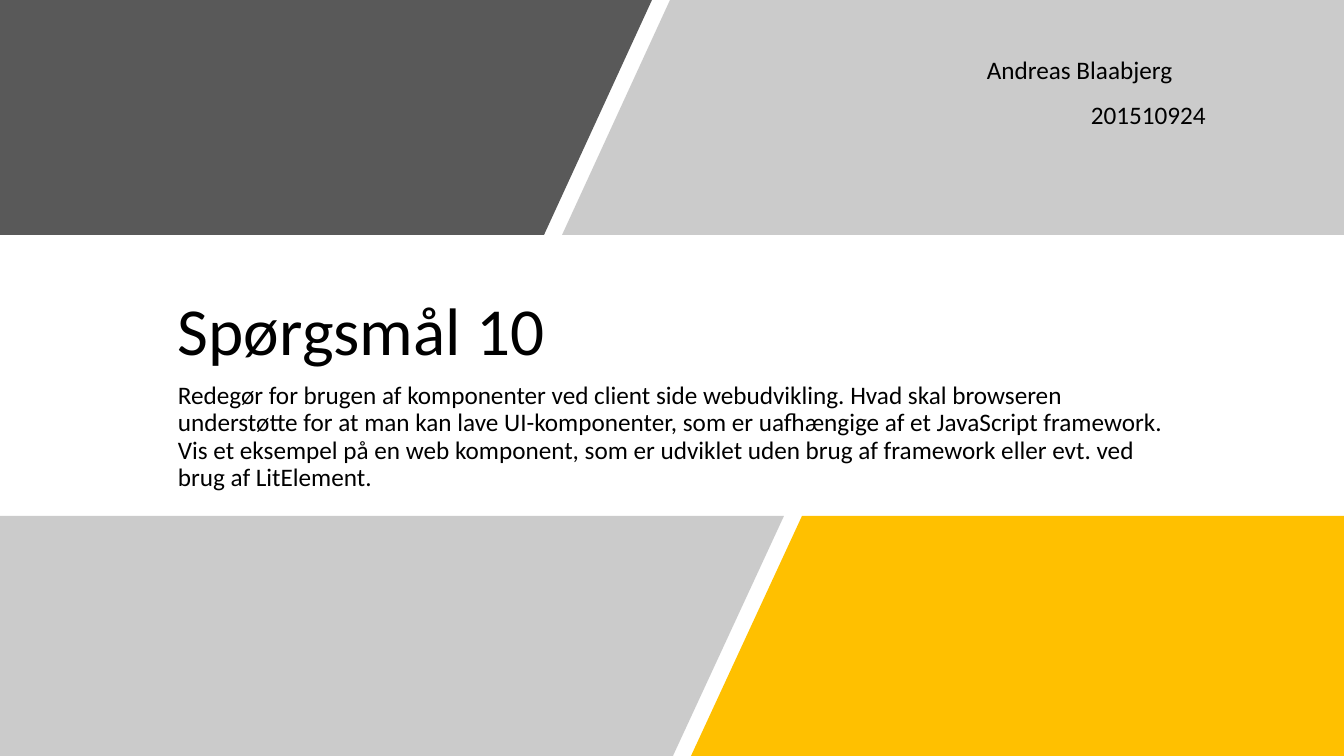
"""Builds the title slide for question 10 on web components."""
from lxml import etree
from pptx import Presentation
from pptx.dml.color import RGBColor
from pptx.enum.text import MSO_ANCHOR, MSO_AUTO_SIZE
from pptx.oxml.ns import qn
from pptx.util import Pt

TOP, BOTTOM = MSO_ANCHOR.TOP, MSO_ANCHOR.BOTTOM
FIT_SHAPE, NO_FIT = MSO_AUTO_SIZE.SHAPE_TO_FIT_TEXT, MSO_AUTO_SIZE.NONE
EMU_PER_PX = 914400 / 100.8
WIDTH, HEIGHT = 1344, 756
UPPER_EDGE, LOWER_EDGE = 235, 516
FONT = "Calibri"
COLORS = {
    "dark": "595959",
    "gray": "7F7F7F",
    "white": "FFFFFF",
    "gold": "FFC000",
    "text": "000000",
}


def px(value):
    return round(value * EMU_PER_PX)


def add_panel(slide, points, color, opacity):
    builder = slide.shapes.build_freeform(*points[0], scale=EMU_PER_PX)
    builder.add_line_segments(points[1:], close=True)
    shape = builder.convert_to_shape()
    shape.shadow.inherit = False
    shape.line.fill.background()
    shape.fill.solid()
    shape.fill.fore_color.rgb = RGBColor.from_string(COLORS[color])
    if opacity < 100:
        color_element = shape.fill._xPr.find(qn("a:solidFill"))[0]
        alpha = etree.SubElement(color_element, qn("a:alpha"))
        alpha.set("val", str(opacity * 1000))


presentation = Presentation()
presentation.slide_width = px(WIDTH)
presentation.slide_height = px(HEIGHT)
slide = presentation.slides.add_slide(presentation.slide_layouts[6])

panels = [
    ([(0, 0), (652, 0), (544, UPPER_EDGE), (0, UPPER_EDGE)], "dark", 100),
    ([(670, 0), (WIDTH, 0), (WIDTH, UPPER_EDGE), (562, UPPER_EDGE)], "gray", 40),
    ([(789, LOWER_EDGE), (1176, LOWER_EDGE), (1176, HEIGHT), (678, HEIGHT)], "white", 100),
    ([(802, LOWER_EDGE), (WIDTH, LOWER_EDGE), (WIDTH, HEIGHT), (691, HEIGHT)], "gold", 100),
    ([(0, LOWER_EDGE), (784, LOWER_EDGE), (673, HEIGHT), (0, HEIGHT)], "gray", 40),
]
for points, color, opacity in panels:
    add_panel(slide, points, color, opacity)

question = (
    "Redegør for brugen af komponenter ved client side webudvikling. "
    "Hvad skal browseren understøtte for at man kan lave UI-komponenter, "
    "som er uafhængige af et JavaScript framework. "
    "Vis et eksempel på en web komponent, som er udviklet uden brug af "
    "framework eller evt. ved brug af LitElement."
)
texts = [
    ("Spørgsmål 10", (168, 203, 1008, 172), 48, BOTTOM, True, 0.9, 0),
    (question, (168, 378, 1008, 120), 18, TOP, True, 0.9, 10),
    ("Andreas Blaabjerg", (977, 49, 208, 40), 18, TOP, False, 1.0, 0),
    ("201510924", (1081, 94, 136, 40), 18, TOP, False, 1.0, 0),
]
for text, box, size, anchor, wraps, line_spacing, space_before in texts:
    shape = slide.shapes.add_textbox(*map(px, box))
    frame = shape.text_frame
    frame.word_wrap = wraps
    frame.auto_size = NO_FIT if wraps else FIT_SHAPE
    frame.vertical_anchor = anchor
    paragraph = frame.paragraphs[0]
    paragraph.line_spacing = line_spacing
    paragraph.space_before = Pt(space_before)
    run = paragraph.add_run()
    run.text = text
    run.font.name = FONT
    run.font.size = Pt(size)
    run.font.color.rgb = RGBColor.from_string(COLORS["text"])

presentation.save("out.pptx")
